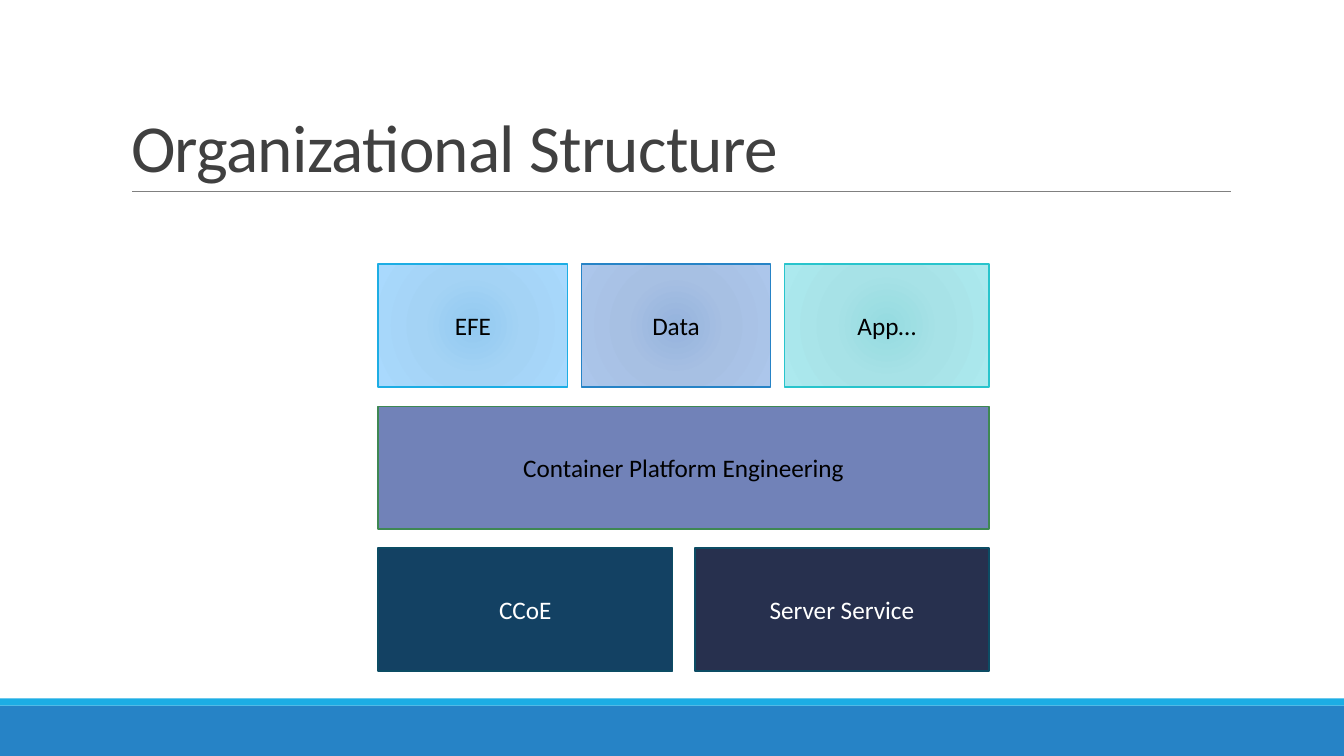
from lxml.etree import SubElement
from pptx import Presentation
from pptx.dml.color import RGBColor
from pptx.enum.shapes import MSO_CONNECTOR, MSO_SHAPE
from pptx.enum.text import MSO_ANCHOR, MSO_AUTO_SIZE, PP_ALIGN
from pptx.oxml import parse_xml
from pptx.oxml.ns import nsdecls, qn
from pptx.util import Inches, Pt

FONT = "Calibri"
COLORS = {
    "band": "2683C6", "strip": "1CADE4", "rule": "808080", "title": "404040",
    "black": "000000", "white": "FFFFFF",
    "teal": "134163", "navy": "27304E", "edge": "0C4C64",
    "violet": "7182B8", "green": "3E8853", "aqua": "28C4CC",
}
# Gradient colours from the centre outwards
GLOWS = {
    "sky": ("92C9F0", "A4D3F5", "A9D9FD"),
    "blue": ("95B3DD", "A7C0E3", "ACC6EB"),
    "mint": ("95DBE0", "A7E2E7", "ACE9EE"),
}

# Grid of the diagram, in inches
LEFT, TOP, WIDTH = 3.75, 2.62, 6.06
HEIGHT, PITCH = 1.22, 1.41

# Rows from top to bottom: text, width, fill, line, line width, text colour
ROWS = [
    [("EFE", 1.88, "sky", "strip", 1, "black"),
     ("Data", 1.88, "blue", "band", 1, "black"),
     ("App…", 2.03, "mint", "aqua", 1, "black")],
    [("Container Platform Engineering", WIDTH, "violet", "green", 1, "black")],
    [("CCoE", 2.92, "teal", "edge", 1.25, "white"),
     ("Server Service", 2.92, "navy", "edge", 1.25, "white")],
]


def tint(name):
    return RGBColor.from_string(COLORS[name])


def write(par, text, size, color):
    run = par.add_run()
    run.text = text
    run.font.name = FONT
    run.font.size = Pt(size)
    run.font.color.rgb = tint(color)
    return run


def glow(shape, name):
    """Fill a shape with a radial gradient."""
    stops = "".join(
        f'<a:gs pos="{pos}"><a:srgbClr val="{color}"/></a:gs>'
        for pos, color in zip((0, 45000, 100000), GLOWS[name]))
    fill = parse_xml(
        f'<a:gradFill {nsdecls("a")} rotWithShape="1"><a:gsLst>{stops}</a:gsLst>'
        '<a:path path="circle"><a:fillToRect l="100000" t="100000" '
        'r="100000" b="100000"/></a:path></a:gradFill>')
    shape.fill.background()
    props = shape._element.spPr
    props.replace(props.find(qn("a:noFill")), fill)


def block(slide, left, top, width, height, fill):
    shape = slide.shapes.add_shape(
        MSO_SHAPE.RECTANGLE, *map(Inches, (left, top, width, height)))
    shape.shadow.inherit = False
    shape.line.fill.background()
    if fill in GLOWS:
        glow(shape, fill)
    else:
        shape.fill.solid()
        shape.fill.fore_color.rgb = tint(fill)
    return shape


def team(slide, left, top, width, text, fill, line, weight, color):
    shape = block(slide, left, top, width, HEIGHT, fill)
    shape.line.color.rgb = tint(line)
    shape.line.width = Pt(weight)
    frame = shape.text_frame
    frame.vertical_anchor = MSO_ANCHOR.MIDDLE
    par = frame.paragraphs[0]
    par.alignment = PP_ALIGN.CENTER
    write(par, text, 18, color)


def tier(slide, top, items):
    """Spread the teams of one row over the full width with equal gaps."""
    spare = WIDTH - sum(item[1] for item in items)
    gap = spare / max(len(items) - 1, 1)
    left = LEFT
    for text, width, *style in items:
        team(slide, left, top, width, text, *style)
        left += width + gap


def rule(slide, left, right, top):
    line = slide.shapes.add_connector(
        MSO_CONNECTOR.STRAIGHT, *map(Inches, (left, top, right, top)))
    line.line.color.rgb = tint("rule")
    line.line.width = Pt(0.5)
    SubElement(line._element.spPr, qn("a:effectLst"))


def head(slide, text):
    title = slide.shapes.title
    title.left, title.top = Inches(1.2), Inches(0.31)
    title.width, title.height = Inches(11), Inches(1.59)
    frame = title.text_frame
    frame.word_wrap = True
    frame.auto_size = MSO_AUTO_SIZE.NONE
    frame.vertical_anchor = MSO_ANCHOR.BOTTOM
    par = frame.paragraphs[0]
    par.alignment = PP_ALIGN.LEFT
    par.line_spacing = 0.85
    run = write(par, text, 48, "title")
    run.font._element.set("spc", "-50")


def main():
    deck = Presentation()
    deck.slide_width, deck.slide_height = Inches(13.33), Inches(7.5)
    slide = deck.slides.add_slide(deck.slide_layouts[5])

    # Footer bands and title
    block(slide, 0, 7, 13.33, 0.5, "band")
    block(slide, 0, 6.93, 13.33, 0.07, "strip")
    rule(slide, 1.31, 12.21, 1.9)
    head(slide, "Organizational Structure")

    # Stack of teams
    for num, items in enumerate(ROWS):
        tier(slide, TOP + num * PITCH, items)

    deck.save("out.pptx")


if __name__ == "__main__":
    main()
